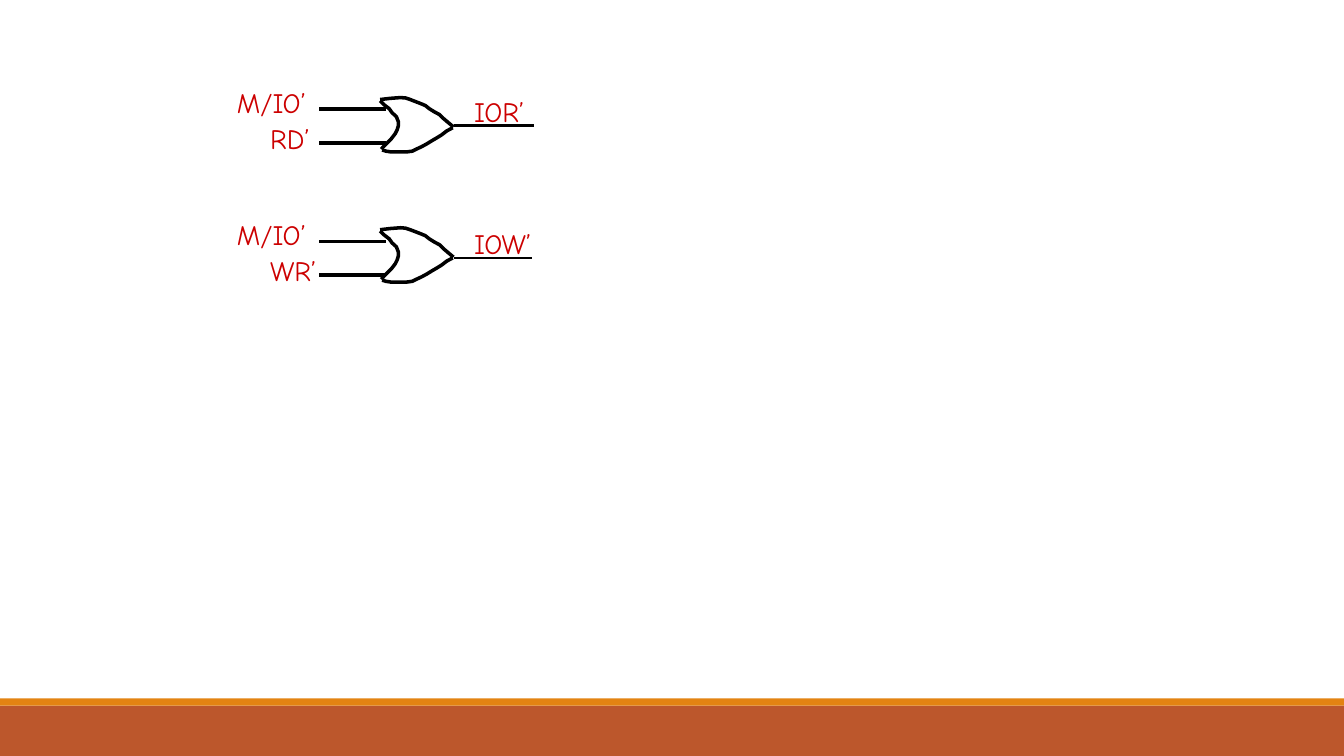
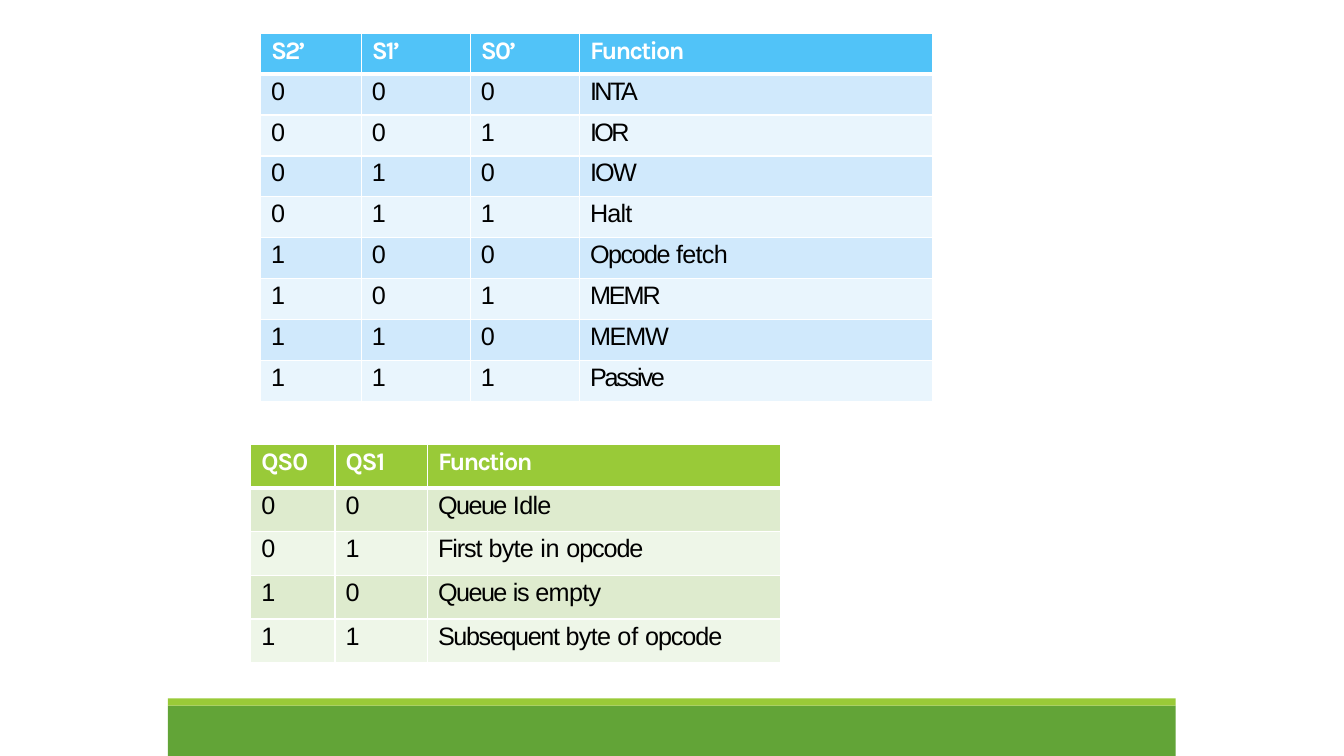
from lxml.etree import SubElement
from pptx import Presentation
from pptx.dml.color import RGBColor
from pptx.enum.shapes import MSO_CONNECTOR, MSO_SHAPE
from pptx.oxml.ns import qn
from pptx.util import Cm, Pt

WHITE = RGBColor(0xFF, 0xFF, 0xFF)
BLACK = RGBColor(0, 0, 0)
RED = RGBColor(0xCC, 0, 0)
RUST = RGBColor(0xBC, 0x57, 0x2C)
ORANGE = RGBColor(0xE3, 0x83, 0x12)
GREEN = RGBColor(0x62, 0xA4, 0x37)
LIME = RGBColor(0x99, 0xCA, 0x38)
LIME_MID = RGBColor(0xDE, 0xEB, 0xCE)
LIME_PALE = RGBColor(0xEE, 0xF6, 0xE8)
SKY = RGBColor(0x51, 0xC3, 0xF8)
SKY_MID = RGBColor(0xD0, 0xE9, 0xFC)
SKY_PALE = RGBColor(0xE9, 0xF5, 0xFD)

# Lengths in cm: signal names, top of the gate's labels, top of its outline
GATES = [
    ("M/IO’", "RD’", "IOR’", 2.13, 2.46, 13.46),
    ("M/IO’", "WR’", "IOW’", 5.46, 5.74, 13.41),
]
GATE_LEFT = 9.58
GATE_CURVES = [
    [(0, .08), (.1, .18), (.23, .28), (.3, .38), (.41, .48), (.46, .61), (.46, .71),
     (.43, .81), (.38, .91), (.28, 1.04), (.18, 1.14), (.08, 1.24), (.03, 1.3)],
    [(0, .05), (.25, .02), (.51, 0), (.64, .01), (.76, .05), (.89, .1), (1.02, .15),
     (1.14, .2), (1.24, .28), (1.37, .36), (1.5, .43), (1.6, .53), (1.73, .64), (1.85, .74)],
    [(.05, 1.32), (.15, 1.35), (.28, 1.37), (.53, 1.37), (.66, 1.37), (.81, 1.35), (.91, 1.3),
     (1.04, 1.24), (1.17, 1.17), (1.3, 1.09), (1.42, 1.02), (1.55, .94), (1.68, .84), (1.83, .76)],
]

# Each cell is a list of (text, letter spacing in points); bits need no spacing
STATUS = {
    "at": (6.56, .84), "cols": [2.54, 2.75, 2.75, 8.89], "row": 1.03,
    "colours": (SKY, SKY_MID, SKY_PALE),
    "head": [("S2’", -1.4), ("S1’", -1.4), ("S0’", -1.4), ("Function", -1.2)],
    "rows": [
        ("000", [("INTA", -1.8)]),
        ("001", [("IOR", -1.9)]),
        ("010", [("IOW", -1.3)]),
        ("011", [("Halt", -.6)]),
        ("100", [("Opcode ", -1.1), ("fetch", -.5)]),
        ("101", [("MEMR", -1.5)]),
        ("110", [("MEMW", -.9)]),
        ("111", [("Passive", -1.6)]),
    ],
}
QUEUE = {
    "at": (6.32, 11.2), "cols": [2.12, 2.33, 8.89], "row": 1.1,
    "colours": (LIME, LIME_MID, LIME_PALE),
    "head": [("QS0", -.9), ("QS1", -.9), ("Function", -1.2)],
    "rows": [
        ("00", [("Queue ", -1.1), ("Idle", -.5)]),
        ("01", [("First ", -.8), ("byte ", -.5), ("in ", -.2), ("opcode", -.8)]),
        ("10", [("Queue ", -1.1), ("is ", -1), ("empty", -.5)]),
        ("11", [("Subsequent ", -1), ("byte ", -.5), ("of ", -.1), ("opcode", -.8)]),
    ],
}


def add_run(p, text, font, size, colour, bold=False, spacing=0):
    r = p.add_run()
    r.text = text
    r.font.name, r.font.size, r.font.bold = font, Pt(size), bold
    r.font.color.rgb = colour
    if spacing:
        r.font._element.set("spc", str(round(spacing * 100)))


def add_bands(slide, left, width, base, accent):
    for top, height, colour in ((17.78, 1.27, base), (17.6, .18, accent)):
        sp = slide.shapes.add_shape(MSO_SHAPE.RECTANGLE, Cm(left), Cm(top), Cm(width), Cm(height))
        sp.shadow.inherit = False
        sp.fill.solid()
        sp.fill.fore_color.rgb = colour
        sp.line.fill.background()


def add_label(slide, text, left, top):
    tf = slide.shapes.add_textbox(Cm(left), Cm(top), Cm(2.1), Cm(.91)).text_frame
    tf.word_wrap = True
    tf.margin_left = tf.margin_right = tf.margin_bottom = 0
    tf.margin_top = Cm(.03)
    p = tf.paragraphs[0]
    p.space_before = Pt(1.1)
    add_run(p, text, "Comic Neue", 20, RED)


def add_wire(slide, x1, x2, y, width):
    c = slide.shapes.add_connector(MSO_CONNECTOR.STRAIGHT, Cm(x1), Cm(y), Cm(x2), Cm(y))
    c.line.color.rgb = BLACK
    c.line.width = Pt(width)
    SubElement(c._element.spPr, qn("a:effectLst"))


def add_curve(slide, points, left, top):
    pts = [(Cm(left + x), Cm(top + y)) for x, y in points]
    fb = slide.shapes.build_freeform(*pts[0])
    fb.add_line_segments(pts[1:], close=False)
    sp = fb.convert_to_shape()
    sp.shadow.inherit = False
    sp.fill.background()
    sp.line.color.rgb = BLACK
    sp.line.width = Pt(2.52)


def add_or_gate(slide, first, second, output, top, body_top, wire_end):
    add_label(slide, first, 5.97, top)
    add_label(slide, second, 6.81, top + .89)
    add_label(slide, output, 11.95, top + .21)
    for dy in (.62, 1.47):
        add_wire(slide, 8.05, 9.73, top + dy, 2.52)
    add_wire(slide, 11.43, wire_end, top + 1.04, 2)
    for points in GATE_CURVES:
        add_curve(slide, points, GATE_LEFT, body_top)


def set_borders(cell, top, bottom):
    tcPr = cell._tc.get_or_add_tcPr()
    for side, width in (("L", 1), ("R", 1), ("T", top), ("B", bottom)):
        ln = SubElement(tcPr, qn(f"a:ln{side}"), w=str(Pt(width)))
        fill = SubElement(ln, qn("a:solidFill"))
        SubElement(fill, qn("a:srgbClr"), val=str(WHITE))


def add_function_table(slide, spec):
    head, mid, pale = spec["colours"]
    rows = [[[cell] for cell in spec["head"]]]
    rows += [[[(bit, 0)] for bit in bits] + [runs] for bits, runs in spec["rows"]]
    left, top = spec["at"]
    table = slide.shapes.add_table(len(rows), len(spec["cols"]), Cm(left), Cm(top),
                                   Cm(sum(spec["cols"])), Cm(spec["row"] * len(rows))).table
    table.first_row = table.horz_banding = False
    for col, width in zip(table.columns, spec["cols"]):
        col.width = Cm(width)
    for i, row in enumerate(rows):
        table.rows[i].height = Cm(spec["row"])
        is_head = i == 0
        colour = head if is_head else mid if i % 2 else pale
        for j, runs in enumerate(row):
            cell = table.cell(i, j)
            set_borders(cell, 3 if i == 1 else 1, 3 if is_head else 1)
            cell.fill.solid()
            cell.fill.fore_color.rgb = colour
            cell.margin_left, cell.margin_top = Cm(.27), Cm(.08)
            cell.margin_right = cell.margin_bottom = 0
            p = cell.text_frame.paragraphs[0]
            p.space_before = Pt(2.4)
            for text, spacing in runs:
                add_run(p, text, "Karla" if is_head else "Arial", 18,
                        WHITE if is_head else BLACK, is_head, spacing)


def main():
    prs = Presentation()
    prs.slide_width, prs.slide_height = Cm(33.87), Cm(19.05)
    blank = prs.slide_layouts[6]

    s = prs.slides.add_slide(blank)
    add_bands(s, 0, 33.87, RUST, ORANGE)
    for gate in GATES:
        add_or_gate(s, *gate)

    s = prs.slides.add_slide(blank)
    add_bands(s, 4.23, 25.4, GREEN, LIME)
    for spec in (STATUS, QUEUE):
        add_function_table(s, spec)

    prs.save("out.pptx")


if __name__ == "__main__":
    main()
